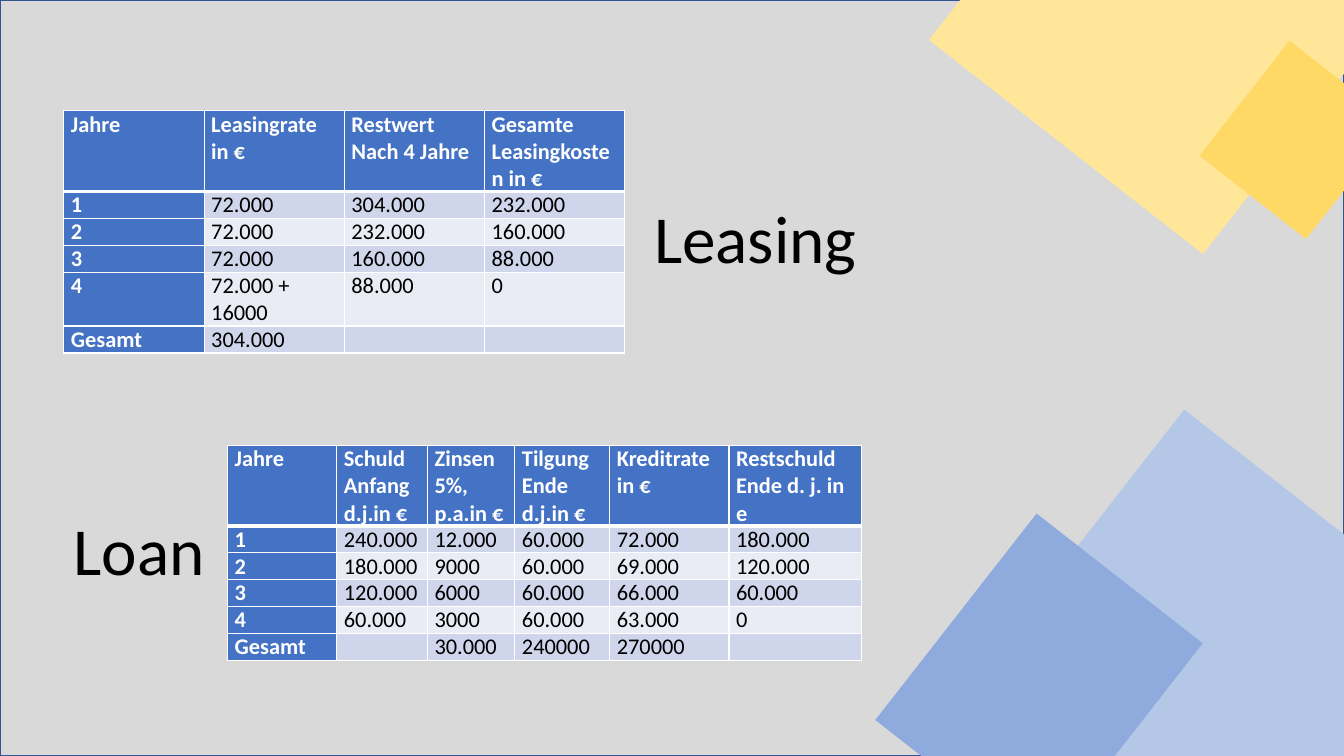
from dataclasses import dataclass

from lxml import etree
from pptx import Presentation
from pptx import util as u
from pptx.dml.color import RGBColor
from pptx.enum import shapes, text
from pptx.oxml import ns

COLS, ROWS = 160, 90


@dataclass(frozen=True)
class Theme:
    font: str = "Calibri"
    title_size: int = 48
    cell_size: int = 16
    ink: str = "000000"
    white: str = "FFFFFF"
    backdrop: str = "D9D9D9"
    frame: str = "325491"
    head: str = "4472C4"
    bands: tuple = ("CFD5EA", "E9EBF5")
    yellow: str = "FFE699"
    gold: str = "FFD966"
    pale_blue: str = "B4C7E7"
    blue: str = "8FAADC"
    thin: int = 1
    thick: int = 3


T = Theme()

LEASING = [
    ["Jahre", "Leasingrate in €", "Restwert\nNach 4 Jahre", "Gesamte\nLeasingkosten in €"],
    ["1", "72.000", "304.000", "232.000"],
    ["2", "72.000", "232.000", "160.000"],
    ["3", "72.000", "160.000", "88.000"],
    ["4", "72.000 + 16000", "88.000", "0"],
    ["Gesamt", "304.000", "", ""],
]
LOAN = [
    ["Jahre", "Schuld Anfang d.j.in €", "Zinsen 5%, p.a.in €",
     "Tilgung Ende d.j.in €", "Kreditrate in €", "Restschuld Ende d. j. in e"],
    ["1", "240.000", "12.000", "60.000", "72.000", "180.000"],
    ["2", "180.000", "9000", "60.000", "69.000", "120.000"],
    ["3", "120.000", "6000", "60.000", "66.000", "60.000"],
    ["4", "60.000", "3000", "60.000", "63.000", "0"],
    ["Gesamt", "", "30.000", "240000", "270000", ""],
]


def grid(n):
    return u.Inches(n / 12)


def apply(obj, values):
    for name, value in values.items():
        setattr(obj, name, value)


def style_run(r, size, color, bold=False):
    apply(r.font, {"name": T.font, "size": u.Pt(size), "bold": bold})
    r.font.color.rgb = RGBColor.from_string(color)


def add_rect(s, box, color, rotation=0, line=None):
    sp = s.shapes.add_shape(shapes.MSO_SHAPE.RECTANGLE, *map(grid, box))
    sp.shadow.inherit = False
    sp.rotation = rotation
    sp.fill.solid()
    sp.fill.fore_color.rgb = RGBColor.from_string(color)
    if line:
        sp.line.color.rgb = RGBColor.from_string(line)
        sp.line.width = u.Pt(T.thin)
    else:
        sp.line.fill.background()


def add_decoration(s, tilt=308):
    add_rect(s, (0, 0, COLS, ROWS), T.backdrop, line=T.frame)
    for box, color in [
        ((119.2, -19, 40.1, 41.4), T.yellow),
        ((145.8, 8.6, 17.4, 16.1), T.gold),
        ((124.9, 56.6, 40.1, 41.4), T.pale_blue),
        ((108.1, 68.6, 31.2, 25.1), T.blue),
    ]:
        add_rect(s, box, color, tilt)


def add_title(s, box, words):
    tf = s.shapes.add_textbox(*map(grid, box)).text_frame
    apply(tf, {"word_wrap": True, "auto_size": text.MSO_AUTO_SIZE.SHAPE_TO_FIT_TEXT})
    p = tf.paragraphs[0]
    p.line_spacing = 1.07
    r = p.add_run()
    r.text = words
    style_run(r, T.title_size, T.ink)


def set_borders(cell, widths):
    tc_pr = cell._tc.get_or_add_tcPr()
    for i, (side, width) in enumerate(widths.items()):
        ln = etree.Element(ns.qn(f"a:ln{side}"), w=str(u.Pt(width)))
        fill = etree.SubElement(ln, ns.qn("a:solidFill"))
        etree.SubElement(fill, ns.qn("a:srgbClr"), val=T.white)
        tc_pr.insert(i, ln)


def fill_cell(cell, words, row, col):
    heading = row == 0 or col == 0
    apply(cell, {"margin_left": grid(0.85), "margin_right": grid(0.85),
                 "margin_top": 0, "margin_bottom": 0})
    cell.fill.solid()
    color = T.head if heading else T.bands[(row - 1) % 2]
    cell.fill.fore_color.rgb = RGBColor.from_string(color)
    set_borders(cell, {"L": T.thin, "R": T.thin,
                       "T": T.thick if row == 1 else T.thin,
                       "B": T.thick if row == 0 else T.thin})
    cell.text = words
    for p in cell.text_frame.paragraphs:
        for r in p.runs:
            style_run(r, T.cell_size, T.white if heading else T.ink, heading)
        if not p.runs:
            etree.SubElement(p._p, ns.qn("a:endParaRPr"), sz=str(T.cell_size * 100))


def add_grid_table(s, left, top, widths, heights, data):
    box = (left, top, sum(widths), sum(heights))
    table = s.shapes.add_table(len(data), len(widths), *map(grid, box)).table
    apply(table, {"first_row": False, "horz_banding": False})
    for column, width in zip(table.columns, widths):
        column.width = grid(width)
    for row, height in zip(table.rows, heights):
        row.height = grid(height)
    for i, line in enumerate(data):
        for j, words in enumerate(line):
            fill_cell(table.cell(i, j), words, i, j)


def build_slide(prs):
    s = prs.slides.add_slide(prs.slide_layouts[6])
    header, single = 9.5, 3.2
    add_decoration(s)
    add_title(s, (76.7, 22.1, 84.5, 11.2), "Leasing")
    add_title(s, (7.6, 59.3, 84.5, 11.2), "Loan")
    add_grid_table(s, 27.1, 53, [13, 10.8, 10.4, 11.3, 14.2, 15.8],
                   [header] + [single] * 5, LOAN)
    add_grid_table(s, 7.6, 13.2, [16.7] * 4,
                   [header] + [single] * 3 + [2 * single, single], LEASING)


def main():
    prs = Presentation()
    apply(prs, {"slide_width": grid(COLS), "slide_height": grid(ROWS)})
    build_slide(prs)
    prs.save("out.pptx")


if __name__ == "__main__":
    main()
